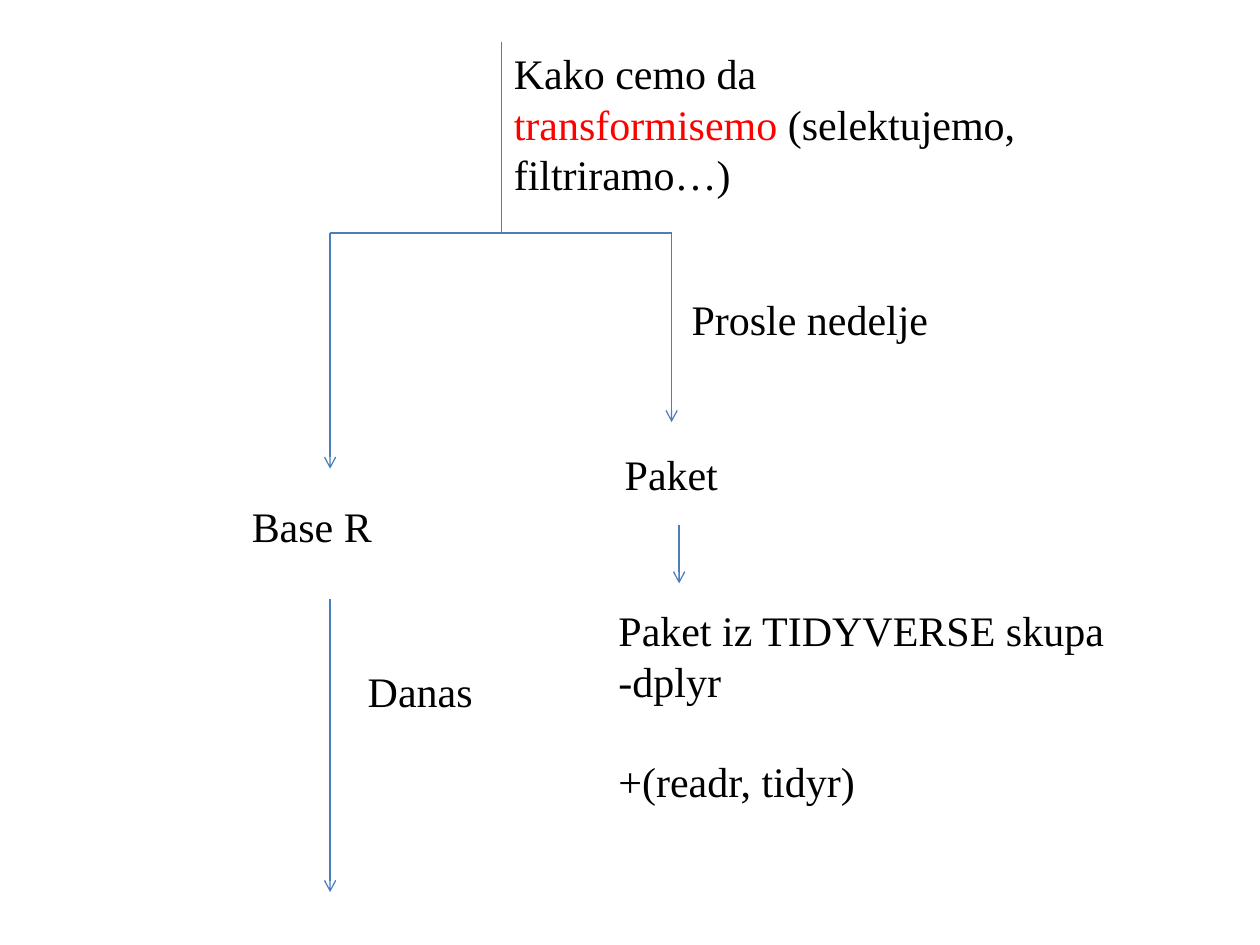
from dataclasses import dataclass

from lxml.etree import SubElement
from pptx import Presentation
from pptx.dml.color import RGBColor
from pptx.enum.shapes import MSO_CONNECTOR
from pptx.enum.text import MSO_AUTO_SIZE
from pptx.oxml.ns import qn
from pptx.util import Inches, Pt


@dataclass(frozen=True)
class Theme:
    font: str = "Times New Roman"
    text_size: float = 24
    line_width: float = 0.75
    text: str = "000000"
    accent: str = "FF0000"
    line: str = "4B7EBC"


class Diagram:
    def __init__(self, page, theme):
        self.page = page
        self.theme = theme

    def text(self, left, top, width, height, *lines):
        """Each line is a string or a list of (text, colour) spans."""
        box = self.page.shapes.add_textbox(
            Inches(left), Inches(top), Inches(width), Inches(height))
        frame = box.text_frame
        frame.word_wrap = True
        frame.auto_size = MSO_AUTO_SIZE.SHAPE_TO_FIT_TEXT
        for index, line in enumerate(lines):
            para = frame.add_paragraph() if index else frame.paragraphs[0]
            para.font.name = self.theme.font
            para.font.size = Pt(self.theme.text_size)
            spans = [(line, self.theme.text)] if isinstance(line, str) else line
            for words, colour in spans:
                span = para.add_run()
                span.text = words
                span.font.color.rgb = RGBColor.from_string(colour)
        return box

    def line(self, start, end, arrow=False):
        points = [Inches(value) for value in (*start, *end)]
        connector = self.page.shapes.add_connector(MSO_CONNECTOR.STRAIGHT, *points)
        connector.line.color.rgb = RGBColor.from_string(self.theme.line)
        connector.line.width = Pt(self.theme.line_width)
        if arrow:
            SubElement(connector.line._get_or_add_ln(), qn("a:tailEnd"), type="arrow")
        SubElement(connector._element.spPr, qn("a:effectLst"))


deck = Presentation()
deck.slide_width, deck.slide_height = Inches(10), Inches(7.5)
theme = Theme()
diagram = Diagram(deck.slides.add_slide(deck.slide_layouts[6]), theme)

# Fork: stem, crossbar and two branches
stem_x, base_x, package_x, fork_y = 3.98, 2.62, 5.33, 1.85
diagram.line((stem_x, 0.33), (stem_x, fork_y))
diagram.line((base_x, fork_y), (package_x, fork_y))
for branch_x, tip_y in ((base_x, 3.72), (package_x, 3.35)):
    diagram.line((branch_x, fork_y), (branch_x, tip_y), arrow=True)

# Question at the top
diagram.text(stem_x, 0.33, 4.27, 1.31, [
    ("Kako cemo da ", theme.text),
    ("transformisemo", theme.accent),
    (" (selektujemo, filtriramo…)", theme.text),
])

# Left branch: base R
diagram.text(1.9, 3.92, 2.33, 0.5, "Base R")
diagram.line((base_x, 4.75), (base_x, 7.08), arrow=True)
diagram.text(2.82, 5.23, 1.5, 0.5, "Danas")

# Right branch: packages
diagram.text(5.39, 2.28, 2.53, 0.5, "Prosle nedelje")
diagram.text(4.86, 3.51, 1.54, 0.81, "Paket")
diagram.line((5.39, 4.17), (5.39, 4.63), arrow=True)
packages = diagram.text(4.81, 4.75, 4.21, 1.72,
                        "Paket iz TIDYVERSE skupa", "-dplyr", "+(readr, tidyr)")
packages.text_frame.paragraphs[-1].space_before = Pt(28.8)

deck.save("out.pptx")
